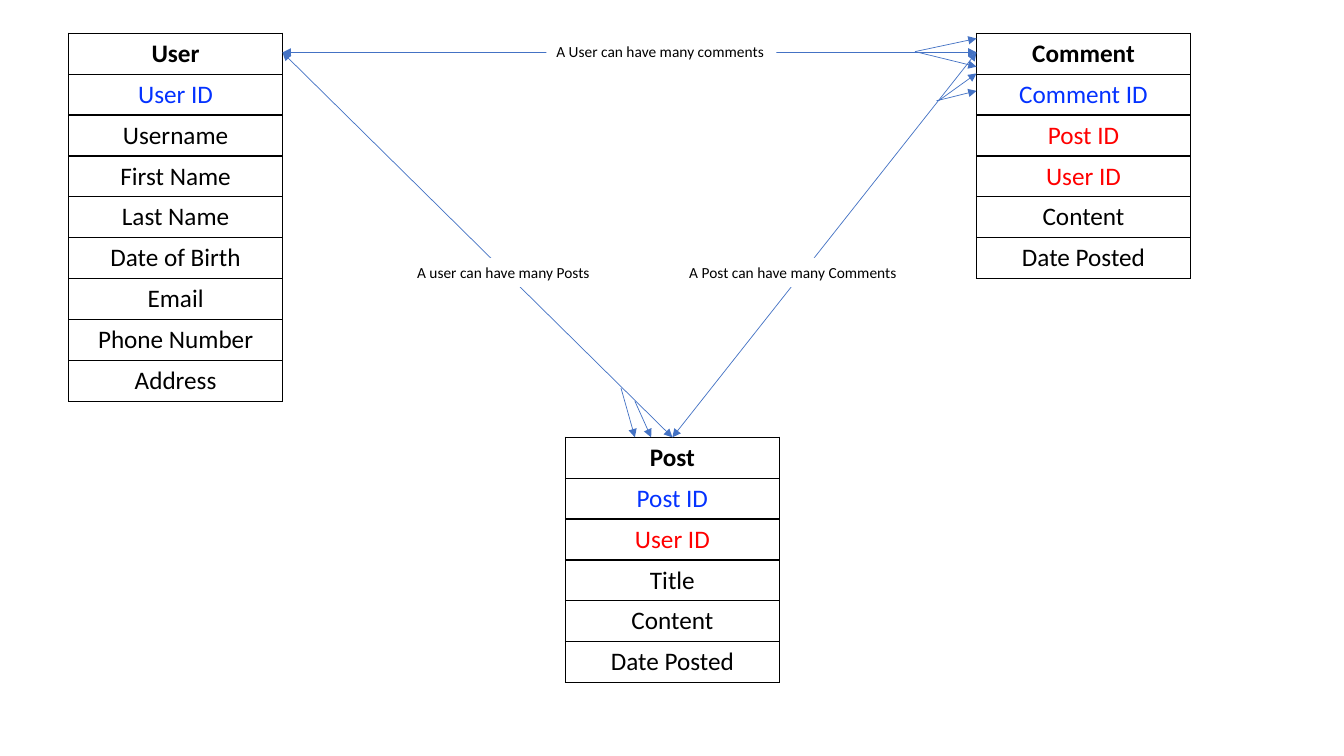
"""Build an entity-relationship slide linking users, posts and comments."""
import pptx
import pptx.dml.color
import pptx.enum.shapes
import pptx.enum.text
import pptx.oxml
import pptx.oxml.ns
import pptx.util

Cm, Pt = pptx.util.Cm, pptx.util.Pt
COLOURS = {"text": "000000", "primary": "0432FF", "foreign": "FF0000",
           "line": "4472C4", "paper": "FFFFFF"}
FONT = "Calibri"
COLUMN_WIDTH, ROW_HEIGHT = 5.39, 1.03
ENTITIES = [
    ("User", 1.73, 0.84, [
        ("User ID", "primary"), ("Username", "text"), ("First Name", "text"),
        ("Last Name", "text"), ("Date of Birth", "text"), ("Email", "text"),
        ("Phone Number", "text"), ("Address", "text")]),
    ("Post", 14.25, 11.02, [
        ("Post ID", "primary"), ("User ID", "foreign"), ("Title", "text"),
        ("Content", "text"), ("Date Posted", "text")]),
    ("Comment", 24.61, 0.84, [
        ("Comment ID", "primary"), ("Post ID", "foreign"), ("User ID", "foreign"),
        ("Content", "text"), ("Date Posted", "text")]),
]
PLACES = {name: (left, top) for name, left, top, fields in ENTITIES}
USER_SIDE = (PLACES["User"][0] + COLUMN_WIDTH, 1.32)
POST_TOP = (PLACES["Post"][0] + COLUMN_WIDTH / 2, PLACES["Post"][1])
COMMENT_SIDE = (PLACES["Comment"][0], 1.32)
RELATIONS = [(USER_SIDE, POST_TOP), (USER_SIDE, COMMENT_SIDE), (POST_TOP, COMMENT_SIDE)]
CROW_FEET = [
    ((15.65, 9.78), (16.0, POST_TOP[1])),
    ((16.0, 10.11), (16.41, POST_TOP[1])),
    ((23.06, 1.3), (COMMENT_SIDE[0], 1.68)),
    ((23.06, 1.3), (COMMENT_SIDE[0], 0.97)),
    ((23.65, 2.54), (COMMENT_SIDE[0], 1.85)),
    ((23.6, 2.54), (COMMENT_SIDE[0], 2.29)),
]
LABEL_HEIGHT = 0.73
LABELS = [
    ("A user can have many Posts", 10.26, 6.5, 5.08),
    ("A User can have many comments", 13.77, 0.94, 5.8),
    ("A Post can have many Comments", 17.12, 6.5, 5.94),
]


def colour(name):
    return pptx.dml.color.RGBColor.from_string(COLOURS[name])


def add_element(parent, tag, content="", **attributes):
    listed = "".join(f' {key}="{value}"' for key, value in attributes.items())
    namespace = pptx.oxml.ns.nsdecls("a")
    parent.append(pptx.oxml.parse_xml(f"<a:{tag} {namespace}{listed}>{content}</a:{tag}>"))


def write(frame, text, ink, size, bold=False):
    span = frame.paragraphs[0].add_run()
    span.text = text
    for key, value in {"name": FONT, "size": Pt(size), "bold": bold}.items():
        setattr(span.font, key, value)
    span.font.color.rgb = colour(ink)


def add_entity(slide, name, left, top, fields):
    rows = [(name, "text")] + fields
    table = slide.shapes.add_table(len(rows), 1, Cm(left), Cm(top), Cm(COLUMN_WIDTH),
                                   Cm(ROW_HEIGHT * len(rows))).table
    table.horz_banding = table.first_row = False
    ink_fill = f'<a:solidFill><a:srgbClr val="{COLOURS["text"]}"/></a:solidFill>'
    for index, (text, ink) in enumerate(rows):
        table.rows[index].height = Cm(ROW_HEIGHT)
        cell = table.cell(index, 0)
        write(cell.text_frame, text, ink, 18, bold=index == 0)
        cell.text_frame.paragraphs[0].alignment = pptx.enum.text.PP_ALIGN.CENTER
        properties = cell._tc.get_or_add_tcPr()
        for edge in ("lnL", "lnR", "lnT", "lnB"):
            add_element(properties, edge, ink_fill, w=Pt(1))
        cell.fill.solid()
        cell.fill.fore_color.rgb = colour("paper")


def add_arrow(slide, start, end, ends):
    points = [Cm(value) for value in start + end]
    arrow = slide.shapes.add_connector(pptx.enum.shapes.MSO_CONNECTOR.STRAIGHT, *points)
    arrow.line.width = Pt(0.5)
    arrow.line.color.rgb = colour("line")
    for tag in ends:
        add_element(arrow.line._get_or_add_ln(), tag, type="triangle")
    add_element(arrow._element.spPr, "effectLst")


def add_label(slide, text, left, top, width):
    box = slide.shapes.add_textbox(Cm(left), Cm(top), Cm(width), Cm(LABEL_HEIGHT))
    box.fill.solid()
    box.fill.fore_color.rgb = colour("paper")
    settings = {"word_wrap": False,
                "auto_size": pptx.enum.text.MSO_AUTO_SIZE.SHAPE_TO_FIT_TEXT}
    for key, value in settings.items():
        setattr(box.text_frame, key, value)
    write(box.text_frame, text, "text", 11)


deck = pptx.Presentation()
deck.slide_width, deck.slide_height = Cm(33.87), Cm(19.05)
page = deck.slides.add_slide(deck.slide_layouts[6])
for entity in ENTITIES:
    add_entity(page, *entity)
for start, end in RELATIONS:
    add_arrow(page, start, end, ("headEnd", "tailEnd"))
for start, end in CROW_FEET:
    add_arrow(page, start, end, ("tailEnd",))
for label in LABELS:
    add_label(page, *label)
deck.save("out.pptx")
